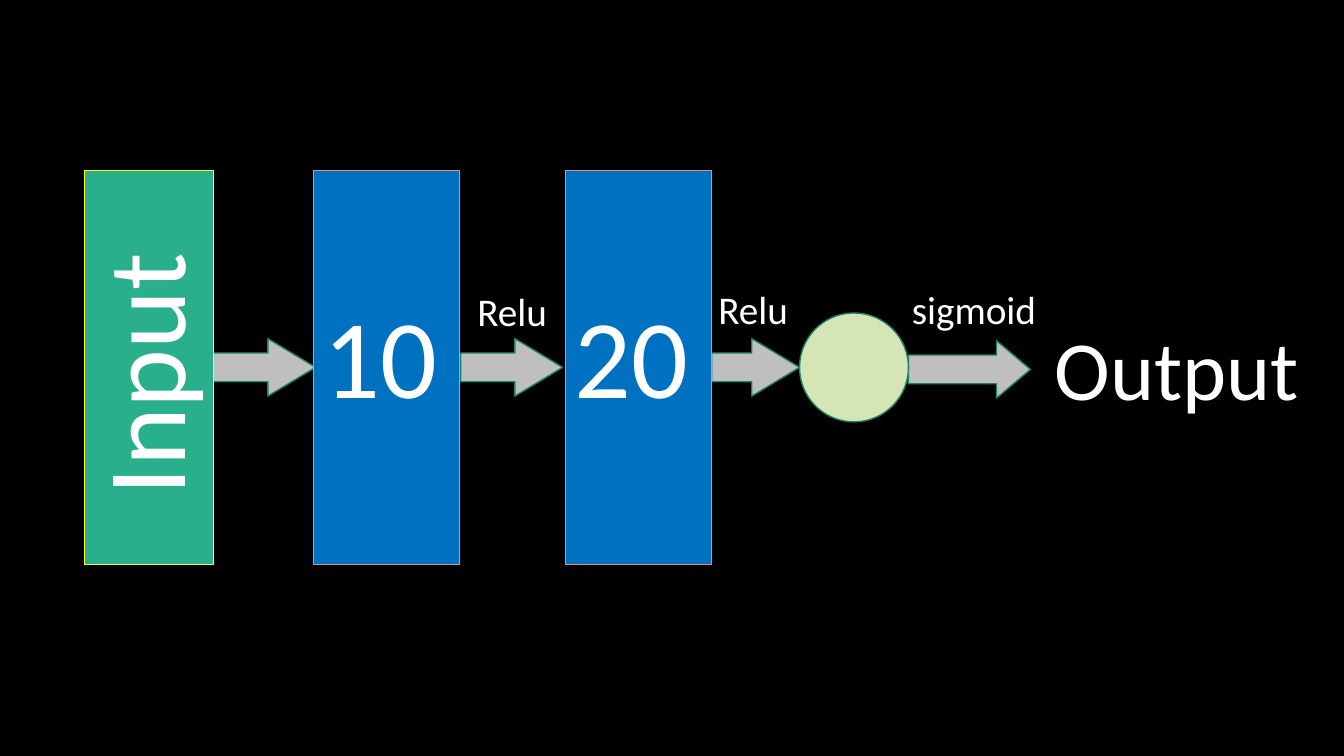
from pptx import Presentation
from pptx.dml.color import RGBColor
from pptx.enum.shapes import MSO_SHAPE
from pptx.enum.text import PP_ALIGN
from pptx.util import Inches, Pt

RECT, OVAL, ARROW = MSO_SHAPE.RECTANGLE, MSO_SHAPE.OVAL, MSO_SHAPE.RIGHT_ARROW
LEFT, CENTER = PP_ALIGN.LEFT, PP_ALIGN.CENTER

GREEN, GRAY, WHITE = "1E8168", "BFBFBF", "FFFFFF"
LAYER_TOP, LAYER_H = 1.69, 3.91
MID_Y = LAYER_TOP + LAYER_H / 2
ARROW_H = 0.57

# Layers: left, width, fill, line
LAYERS = [
    (0.84, 1.28, "29AF8C", "FFFF00"),
    (3.11, 1.45, "0070C0", "E28F7D"),
    (5.61, 1.45, "0070C0", "E28F7D"),
]
# Output neuron: left, diameter
NEURON = (7.93, 1.08)
# Arrows: left, width, vertical centre, head length
ARROWS = [
    (1.93, 1.2, MID_Y, 0.83),
    (4.57, 1.01, MID_Y, 0.83),
    (7.06, 0.87, MID_Y, 0.83),
    (9.01, 1.21, MID_Y + 0.02, 0.59),
]
# Labels: text, left, top, width, height, size, alignment, rotation
LABELS = [
    ("Input", -0.09, 2.79, 2.99, 1.45, 80, LEFT, 270),
    ("10", 3.11, 2.79, 1.62, 1.45, 80, LEFT, 0),
    ("20", 5.6, 2.79, 1.45, 1.45, 80, LEFT, 0),
    ("Output", 10.36, 3.09, 2.9, 1.11, 60, LEFT, 0),
    ("Relu", 4.56, 2.8, 1.04, 0.57, 28, CENTER, 0),
    ("Relu", 6.95, 2.78, 1.04, 0.57, 28, CENTER, 0),
    ("sigmoid", 8.78, 2.78, 1.76, 0.57, 28, CENTER, 0),
]


def color(value):
    return RGBColor.from_string(value)


def add_block(s, kind, x, y, w, h, fill, line):
    sp = s.shapes.add_shape(kind, Inches(x), Inches(y), Inches(w), Inches(h))
    sp.shadow.inherit = False
    sp.fill.solid()
    sp.fill.fore_color.rgb = color(fill)
    sp.line.color.rgb = color(line)
    sp.line.width = Pt(1)
    return sp


def add_label(s, text, x, y, w, h, size, align, rotation):
    sp = s.shapes.add_textbox(Inches(x), Inches(y), Inches(w), Inches(h))
    sp.rotation = rotation
    tf = sp.text_frame
    tf.word_wrap = True
    p = tf.paragraphs[0]
    p.alignment = align
    r = p.add_run()
    r.text = text
    r.font.name = "Calibri"
    r.font.size = Pt(size)
    r.font.color.rgb = color(WHITE)


def main():
    prs = Presentation()
    prs.slide_width, prs.slide_height = Inches(13.33), Inches(7.5)
    s = prs.slides.add_slide(prs.slide_layouts[6])
    s.background.fill.solid()
    s.background.fill.fore_color.rgb = color("000000")

    # Arrows go first so that the input layer covers the first tail
    for x, w, center, head in ARROWS:
        sp = add_block(s, ARROW, x, center - ARROW_H / 2, w, ARROW_H, GRAY, GREEN)
        sp.adjustments[0] = 0.5
        sp.adjustments[1] = head

    # Layers and output neuron
    for x, w, fill, line in LAYERS:
        add_block(s, RECT, x, LAYER_TOP, w, LAYER_H, fill, line)
    x, d = NEURON
    add_block(s, OVAL, x, MID_Y - d / 2, d, d, "D5E5B6", GREEN)

    # Labels
    for label in LABELS:
        add_label(s, *label)

    prs.save("out.pptx")


if __name__ == "__main__":
    main()
